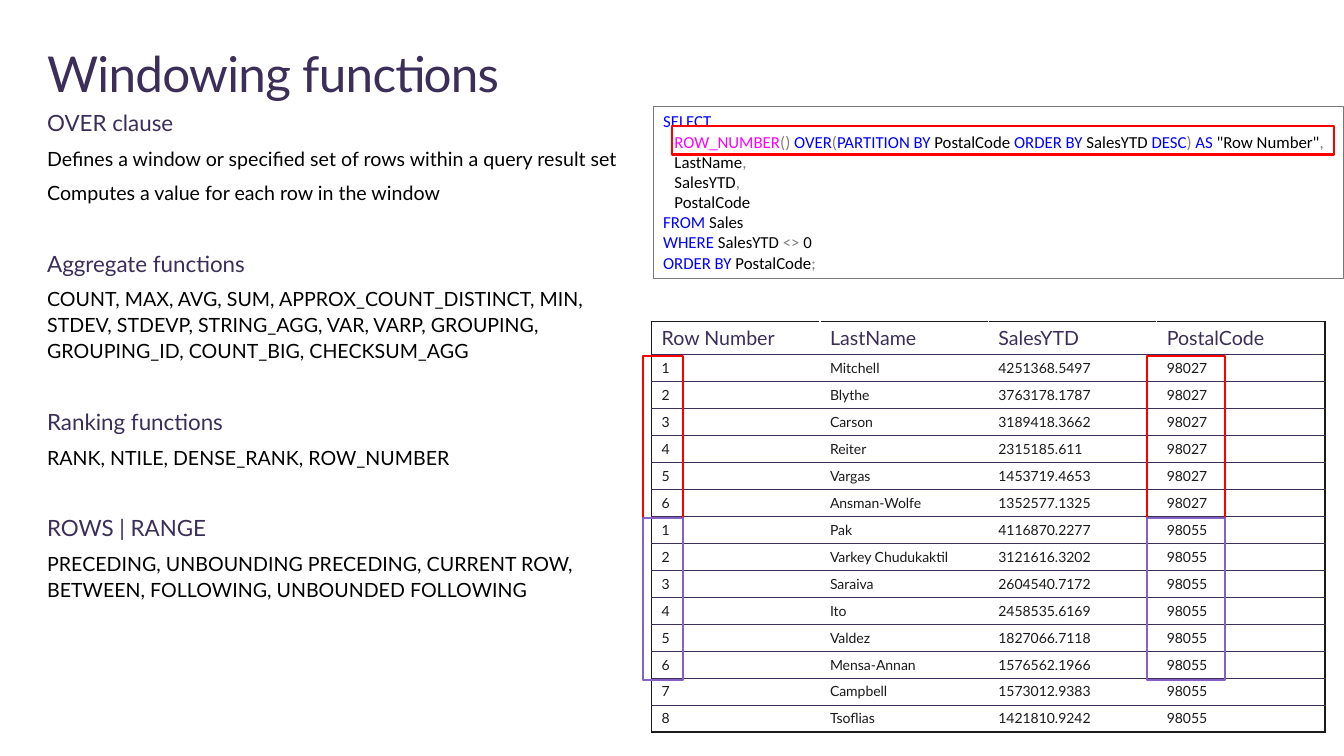
"""Build the slide on SQL windowing functions."""
from lxml import etree
from pptx import Presentation
from pptx.dml.color import RGBColor
from pptx.enum import shapes, text
from pptx.oxml import ns
from pptx.util import Pt

PURPLE, INK, BLACK, WHITE = "3B2E58", "1A1A1A", "000000", "FFFFFF"
BLUE, GREY, PINK, RED, VIOLET = "0000FF", "808080", "FF00FF", "FF0000", "8661C5"


def rgb(value):
    return RGBColor.from_string(value)


def add_run(p, content, size, color, font="Lato"):
    r = p.add_run()
    r.text = content
    r.font.size = Pt(size)
    r.font.name = font
    r.font.color.rgb = rgb(color)
    return r


prs = Presentation()
prs.slide_width, prs.slide_height = Pt(960), Pt(540)
s = prs.slides.add_slide(prs.slide_layouts[5])

title = s.shapes.title
title.left, title.top, title.width, title.height = Pt(33.7), Pt(17.6), Pt(892.8), Pt(58.3)
tf = title.text_frame
tf.margin_left = tf.margin_right = tf.margin_bottom = 0
tf.margin_top = Pt(13)
tf.vertical_anchor = text.MSO_ANCHOR.TOP
tf.auto_size = text.MSO_AUTO_SIZE.NONE
p = tf.paragraphs[0]
p.alignment = text.PP_ALIGN.LEFT
r = add_run(p, "Windowing functions", 35.3, PURPLE)
r.font._element.set("spc", "-50")

sections = [
    ("OVER clause", [
        "Defines a window or specified set of rows within a query result set",
        "Computes a value for each row in the window"]),
    ("Aggregate functions", [
        "COUNT, MAX, AVG, SUM, APPROX_COUNT_DISTINCT, MIN, STDEV, STDEVP, STRING_AGG, "
        "VAR, VARP, GROUPING, GROUPING_ID, COUNT_BIG, CHECKSUM_AGG"]),
    ("Ranking functions", ["RANK, NTILE, DENSE_RANK, ROW_NUMBER"]),
    ("ROWS | RANGE", [
        "PRECEDING, UNBOUNDING PRECEDING, CURRENT ROW, BETWEEN, FOLLOWING, "
        "UNBOUNDED FOLLOWING"]),
]
body = s.shapes.add_textbox(Pt(33.7), Pt(75.9), Pt(414.7), Pt(383))
tf = body.text_frame
tf.word_wrap = True
tf.margin_left = tf.margin_top = tf.margin_right = tf.margin_bottom = 0
for i, (heading, lines) in enumerate(sections):
    for j, line in enumerate([heading] + lines):
        p = tf.paragraphs[0] if i == j == 0 else tf.add_paragraph()
        p.line_spacing = 1.1
        p.space_after = Pt(6)
        if i and j == 0:
            p.space_before = Pt(24.5)
        add_run(p, line, 14 if j else 16, BLACK if j else PURPLE)

header = ["Row Number", "LastName", "SalesYTD", "PostalCode"]
sales = {
    "98027": [("Mitchell", "4251368.5497"), ("Blythe", "3763178.1787"),
              ("Carson", "3189418.3662"), ("Reiter", "2315185.611"),
              ("Vargas", "1453719.4653"), ("Ansman-Wolfe", "1352577.1325")],
    "98055": [("Pak", "4116870.2277"), ("Varkey Chudukaktil", "3121616.3202"),
              ("Saraiva", "2604540.7172"), ("Ito", "2458535.6169"),
              ("Valdez", "1827066.7118"), ("Mensa-Annan", "1576562.1966"),
              ("Campbell", "1573012.9383"), ("Tsoflias", "1421810.9242")],
}
rows = [header]
for code, people in sales.items():
    for number, (name, amount) in enumerate(people, 1):
        rows.append([str(number), name, amount, code])

HEAD_H, ROW_H, COL_W = 24, 19.2, 120.3
last_row, last_col = len(rows) - 1, len(header) - 1
table = s.shapes.add_table(len(rows), len(header), Pt(465.4), Pt(229.4),
                           Pt(COL_W * len(header)), Pt(HEAD_H + ROW_H * last_row)).table
table.first_row = table.horz_banding = False
for col in table.columns:
    col.width = Pt(COL_W)
for i, values in enumerate(rows):
    table.rows[i].height = Pt(ROW_H if i else HEAD_H)
    for j, value in enumerate(values):
        cell = table.cell(i, j)
        cell.margin_left = cell.margin_right = Pt(7.2)
        cell.margin_top = cell.margin_bottom = Pt(3.6)
        add_run(cell.text_frame.paragraphs[0], value, 10 if i else 14, INK if i else PURPLE)
        borders = {"lnL": WHITE if j else INK,
                   "lnR": INK if j == last_col else WHITE,
                   "lnT": PURPLE if i else INK,
                   "lnB": INK if i == last_row else PURPLE}
        for side, color in borders.items():
            ln = etree.SubElement(cell._tc.get_or_add_tcPr(), ns.qn("a:" + side), w="12700")
            fill = etree.SubElement(ln, ns.qn("a:solidFill"))
            etree.SubElement(fill, ns.qn("a:srgbClr"), val=color)
        cell.fill.background()

GROUP_TOP, GROUP_H = 254.3, 115.8
outlines = [(466.6, 75.9, 493, 122.9, "797979", 0.75),
            (479.8, 90.2, 473, 20.2, RED, 1.5)]
for k, color in enumerate([RED, VIOLET]):
    for left, width in [(459.4, 28.8), (819.4, 55.8)]:
        outlines.append((left, GROUP_TOP + k * GROUP_H, width, GROUP_H, color, 1.5))
frames = []
for left, top, width, height, color, weight in outlines:
    sp = s.shapes.add_shape(shapes.MSO_SHAPE.RECTANGLE,
                            Pt(left), Pt(top), Pt(width), Pt(height))
    sp.shadow.inherit = False
    sp.fill.background()
    sp.line.color.rgb = rgb(color)
    sp.line.width = Pt(weight)
    frames.append(sp)

query = [
    [("SELECT", BLUE)],
    [("   ROW_NUMBER", PINK), ("() ", GREY), ("OVER", BLUE), ("(", GREY),
     ("PARTITION BY ", BLUE), ("PostalCode ", BLACK), ("ORDER BY ", BLUE),
     ("SalesYTD ", BLACK), ("DESC", BLUE), (") ", GREY), ("AS", BLUE),
     (' "Row Number"', BLACK), (",", GREY)],
    [("   LastName", BLACK), (",", GREY)],
    [("   SalesYTD", BLACK), (",", GREY)],
    [("   PostalCode", BLACK)],
    [("FROM", BLUE), (" Sales", BLACK)],
    [("WHERE ", BLUE), ("SalesYTD ", BLACK), ("<>", GREY), (" 0", BLACK)],
    [("ORDER BY ", BLUE), ("PostalCode", BLACK), (";", GREY)],
]
tf = frames[0].text_frame
tf.word_wrap = True
tf.vertical_anchor = text.MSO_ANCHOR.TOP
for i, tokens in enumerate(query):
    p = tf.add_paragraph() if i else tf.paragraphs[0]
    p.alignment = text.PP_ALIGN.LEFT
    for token, color in tokens:
        add_run(p, token, 12, color, "Calibri")

prs.save("out.pptx")
